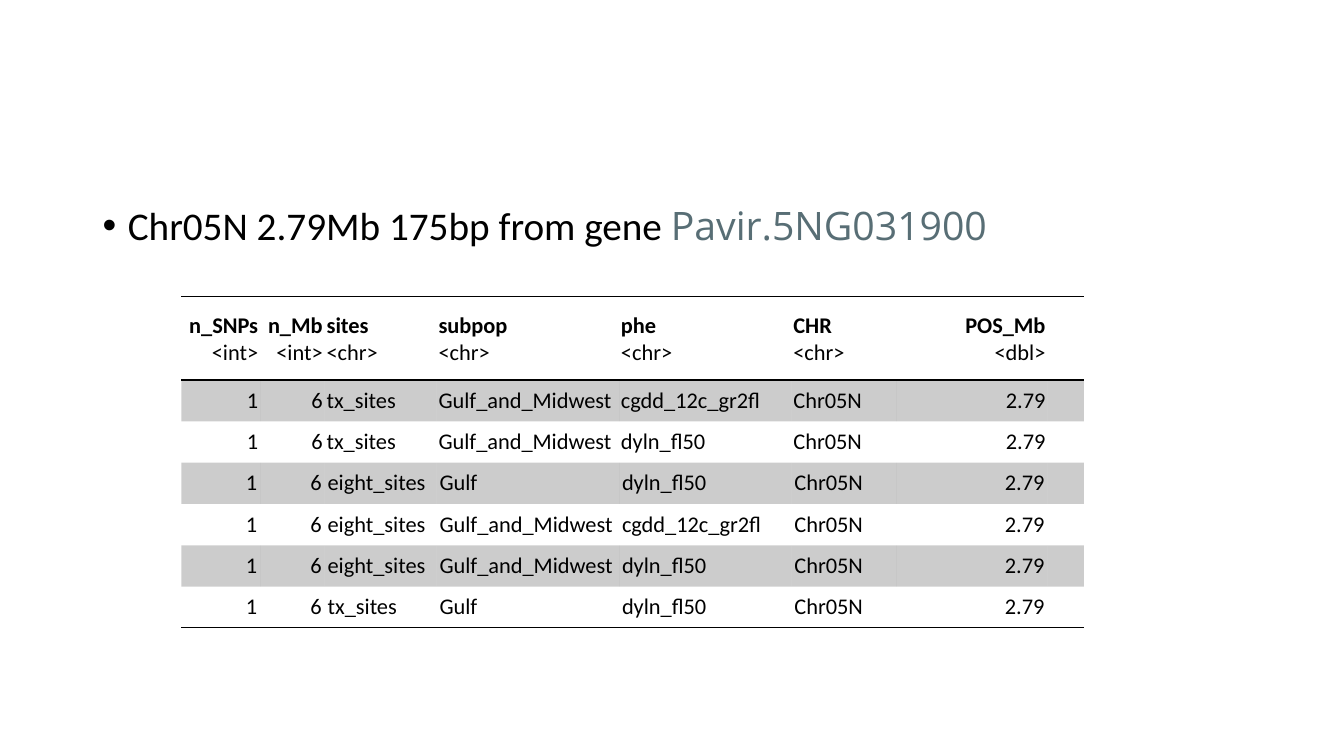
from lxml.etree import SubElement
from pptx import Presentation
from pptx.dml.color import RGBColor
from pptx.enum.text import MSO_ANCHOR, PP_ALIGN
from pptx.oxml import parse_xml
from pptx.oxml.ns import nsdecls, qn
from pptx.util import Inches, Pt

BLACK = RGBColor(0x00, 0x00, 0x00)
SLATE = RGBColor(0x58, 0x6E, 0x75)
NO_STYLE = "{2D5ABB26-0587-4C30-8999-92F81FD0307C}"

# Column name, type and width; the last column is an empty margin
COLUMNS = [
    ("n_SNPs", "<int>", 0.78),
    ("n_Mb", "<int>", 0.64),
    ("sites", "<chr>", 1.11),
    ("subpop", "<chr>", 1.81),
    ("phe", "<chr>", 1.71),
    ("CHR", "<chr>", 1.04),
    ("POS_Mb", "<dbl>", 1.5),
    ("", "", 0.36),
]
# Values that vary between rows: sites, subpop, phe
ASSOCIATIONS = [
    ("tx_sites", "Gulf_and_Midwest", "cgdd_12c_gr2fl"),
    ("tx_sites", "Gulf_and_Midwest", "dyln_fl50"),
    ("eight_sites", "Gulf", "dyln_fl50"),
    ("eight_sites", "Gulf_and_Midwest", "cgdd_12c_gr2fl"),
    ("eight_sites", "Gulf_and_Midwest", "dyln_fl50"),
    ("tx_sites", "Gulf", "dyln_fl50"),
]


class SlideBuilder:
    def __init__(self, slide, font="Calibri"):
        self.slide = slide
        self.font = font

    def style(self, font, size, color=BLACK, name=None, bold=False):
        font.name = name or self.font
        font.size = Pt(size)
        font.color.rgb = color
        font.bold = bold

    def bullet(self, left, top, width, height, parts):
        """Add one bulleted line made of (text, font name, color) parts."""
        box = self.slide.shapes.add_textbox(
            Inches(left), Inches(top), Inches(width), Inches(height))
        box.text_frame.word_wrap = True
        paragraph = box.text_frame.paragraphs[0]
        paragraph.line_spacing = 0.9
        properties = paragraph._p.get_or_add_pPr()
        properties.set("marL", str(Inches(0.25)))
        properties.set("indent", str(Inches(-0.25)))
        SubElement(properties, qn("a:buFont"), typeface="Arial")
        SubElement(properties, qn("a:buChar"), char="•")
        for text, name, color in parts:
            run = paragraph.add_run()
            run.text = text
            self.style(run.font, 28, color, name)

    def border(self, cell, side):
        cell._tc.get_or_add_tcPr().insert(0, parse_xml(
            f'<a:{side} {nsdecls("a")} w="{Pt(1)}"><a:solidFill>'
            f'<a:srgbClr val="{BLACK}"/></a:solidFill></a:{side}>'))

    def shade(self, cell, shaded):
        if not shaded:
            cell.fill.background()
            return
        cell.fill.solid()
        cell.fill.fore_color.rgb = BLACK
        color = next(cell._tc.tcPr.iter(qn("a:srgbClr")))
        SubElement(color, qn("a:alpha"), val="20000")

    def cell(self, cell, text, right, side_margin, header):
        cell.vertical_anchor = MSO_ANCHOR.MIDDLE
        cell.margin_left = cell.margin_right = Inches(side_margin)
        cell.margin_top = Inches(0.03 if header else 0.01)
        cell.margin_bottom = Inches(0.01)
        cell.text_frame.text = text
        for index, paragraph in enumerate(cell.text_frame.paragraphs):
            paragraph.alignment = PP_ALIGN.RIGHT if right else PP_ALIGN.LEFT
            self.style(paragraph.font, 16)
            for run in paragraph.runs:
                self.style(run.font, 16, bold=header and index == 0)

    def table(self, left, top, columns, rows, header_height, row_height):
        width = sum(column[2] for column in columns)
        height = header_height + row_height * (len(rows) - 1)
        table = self.slide.shapes.add_table(
            len(rows), len(columns), Inches(left), Inches(top),
            Inches(width), Inches(height)).table
        table.first_row = table.horz_banding = False
        table._tbl.tblPr.find(qn("a:tableStyleId")).text = NO_STYLE
        for column, (_, _, column_width) in zip(table.columns, columns):
            column.width = Inches(column_width)
        for row_index, values in enumerate(rows):
            header = row_index == 0
            table.rows[row_index].height = Inches(
                header_height if header else row_height)
            for column_index, text in enumerate(values):
                cell = table.cell(row_index, column_index)
                right = columns[column_index][1] in ("<int>", "<dbl>")
                self.cell(cell, text, right,
                          0.02 if row_index < 3 else 0.03, header)
                self.shade(cell, row_index % 2 == 1)
                # Rules around the header and under the last row
                if header or row_index == len(rows) - 1:
                    self.border(cell, "lnB")
                if header:
                    self.border(cell, "lnT")


def main():
    presentation = Presentation()
    presentation.slide_width = Inches(13.33)
    presentation.slide_height = Inches(7.5)
    slide = presentation.slides.add_slide(presentation.slide_layouts[6])
    builder = SlideBuilder(slide)

    # Locus and nearest gene
    builder.bullet(0.92, 2, 11.5, 4.76, [
        ("Chr05N 2.79Mb 175bp from gene ", "Calibri", BLACK),
        ("Pavir.5NG031900", "Open Sans", SLATE),
    ])

    # Table of associations
    header = [f"{name}\n{kind}".strip() for name, kind, _ in COLUMNS]
    body = [("1", "6", *association, "Chr05N", "2.79", "")
            for association in ASSOCIATIONS]
    builder.table(1.8, 2.94, COLUMNS, [header, *body], 0.83, 0.41)

    presentation.save("out.pptx")


if __name__ == "__main__":
    main()
